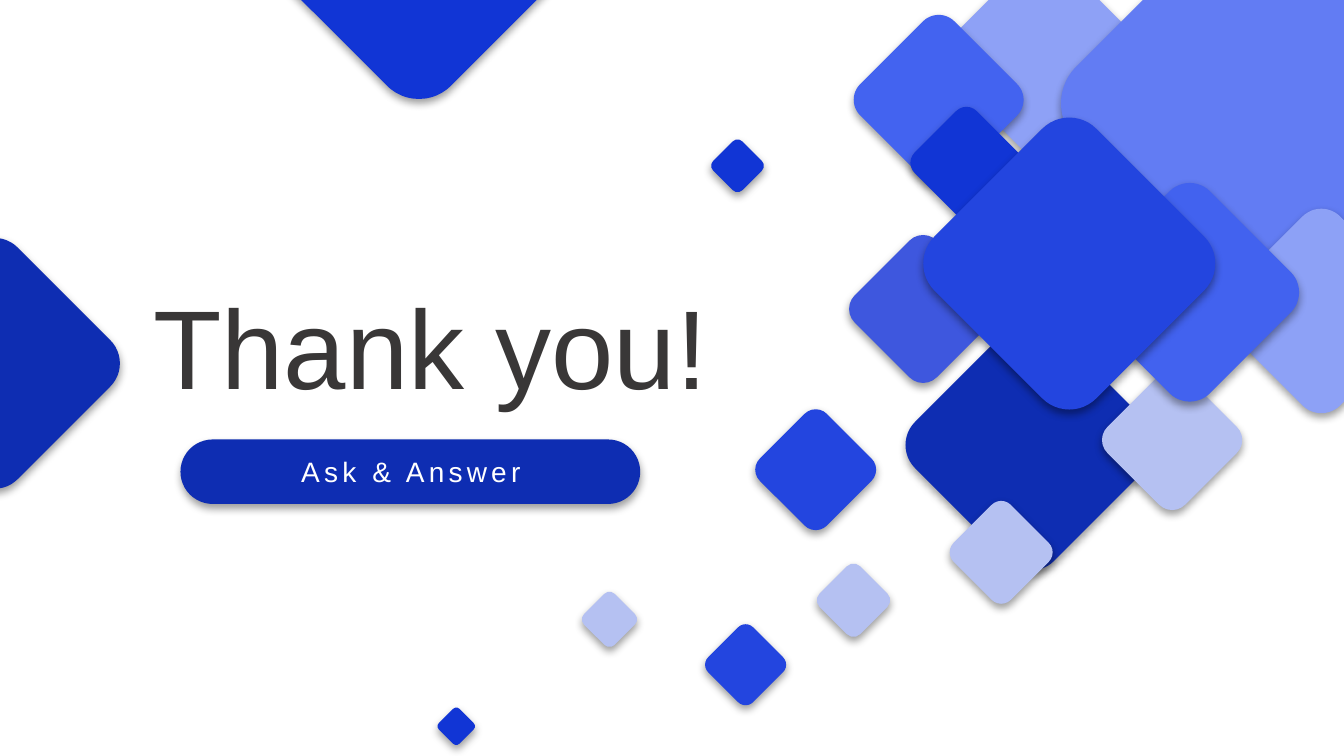
from lxml import etree
from pptx import Presentation
from pptx.dml.color import RGBColor
from pptx.enum.shapes import MSO_SHAPE
from pptx.enum.text import MSO_AUTO_SIZE, PP_ALIGN
from pptx.oxml import parse_xml
from pptx.util import Inches, Pt

ROUNDED = MSO_SHAPE.ROUNDED_RECTANGLE
CENTER = PP_ALIGN.CENTER
GROW = MSO_AUTO_SIZE.SHAPE_TO_FIT_TEXT

NAVY = RGBColor(0x0E, 0x2D, 0xB2)
ROYAL = RGBColor(0x11, 0x35, 0xD5)
BLUE = RGBColor(0x23, 0x45, 0xDF)
INDIGO = RGBColor(0x3E, 0x57, 0xDE)
BRIGHT = RGBColor(0x43, 0x63, 0xF0)
AZURE = RGBColor(0x42, 0x62, 0xEF)
SKY = RGBColor(0x62, 0x7C, 0xF3)
PERIWINKLE = RGBColor(0x8E, 0xA1, 0xF6)
LAVENDER = RGBColor(0x8D, 0xA1, 0xF6)
PALE = RGBColor(0xB5, 0xC1, 0xF2)
CHARCOAL = RGBColor(0x39, 0x37, 0x37)
WHITE = RGBColor(0xFF, 0xFF, 0xFF)

SHADOW = (
    '<a:effectLst xmlns:a="http://schemas.openxmlformats.org/drawingml/2006/main">'
    f'<a:outerShdw blurRad="{Pt(6)}" dist="{Pt(3)}" dir="5400000" algn="t" rotWithShape="0">'
    '<a:srgbClr val="000000"><a:alpha val="39000"/></a:srgbClr>'
    '</a:outerShdw></a:effectLst>'
)


def add_tile(shapes, left, top, width, height, color):
    tile = shapes.add_shape(ROUNDED, Inches(left), Inches(top), Inches(width), Inches(height))
    tile.fill.solid()
    tile.fill.fore_color.rgb = color
    tile.line.fill.background()
    tile._element.spPr.append(parse_xml(SHADOW))
    return tile


def add_caption(shapes, left, top, width, height, words, size, color):
    caption = shapes.add_textbox(Inches(left), Inches(top), Inches(width), Inches(height))
    frame = caption.text_frame
    frame.word_wrap = True
    frame.auto_size = GROW
    paragraph = frame.paragraphs[0]
    paragraph.alignment = CENTER
    run = paragraph.add_run()
    run.text = words
    run.font.name = "Arial"
    run.font.size = Pt(size)
    run.font.color.rgb = color
    return run


deck = Presentation()
deck.slide_width = Inches(13.33)
deck.slide_height = Inches(7.5)
slide = deck.slides.add_slide(deck.slide_layouts[6])

diamonds = [
    (9.25, 3.44, 1.95, NAVY),
    (9.56, -0.22, 1.59, PERIWINKLE),
    (-1.03, 2.63, 1.95, NAVY),
    (10.95, -0.52, 3.09, SKY),
    (8.65, 0.33, 1.32, BRIGHT),
    (12.31, 2.29, 1.59, LAVENDER),
    (8.58, 2.49, 1.15, INDIGO),
    (9.15, 1.18, 0.87, ROYAL),
    (11.08, 3.82, 1.09, PALE),
    (10.95, 2.05, 1.7, AZURE),
    (9.47, 1.48, 2.27, BLUE),
    (7.62, 4.19, 0.94, BLUE),
    (7.11, 1.44, 0.41, ROYAL),
    (9.53, 5.08, 0.8, PALE),
    (7.08, 6.28, 0.63, BLUE),
    (8.18, 5.67, 0.57, PALE),
    (2.81, -2.08, 2.69, ROYAL),
    (4.38, 7.06, 0.29, ROYAL),
    (5.83, 5.93, 0.43, PALE),
]
for left, top, side, color in diamonds:
    diamond = add_tile(slide.shapes, left, top, side, side, color)
    diamond.rotation = 45

closing = slide.shapes.add_group_shape().shapes
add_caption(closing, 1.39, 2.7, 5.76, 1.45, "Thank you!", 80, CHARCOAL)
pill = add_tile(closing, 1.79, 4.36, 4.56, 0.64, NAVY)
pill.adjustments[0] = 0.5
invitation = add_caption(closing, 1.94, 4.46, 4.27, 0.44, "Ask & Answer", 20, WHITE)
invitation.font._element.set("spc", "300")

deck.save("out.pptx")
